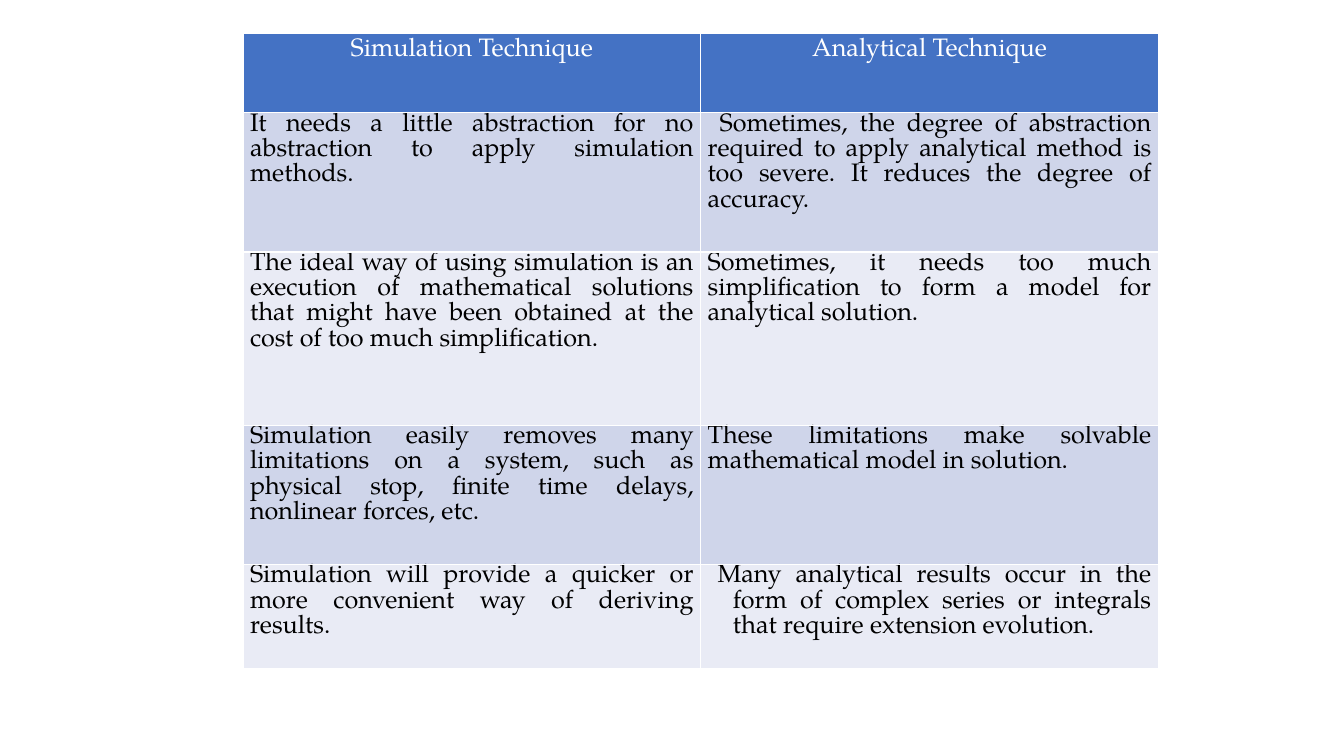
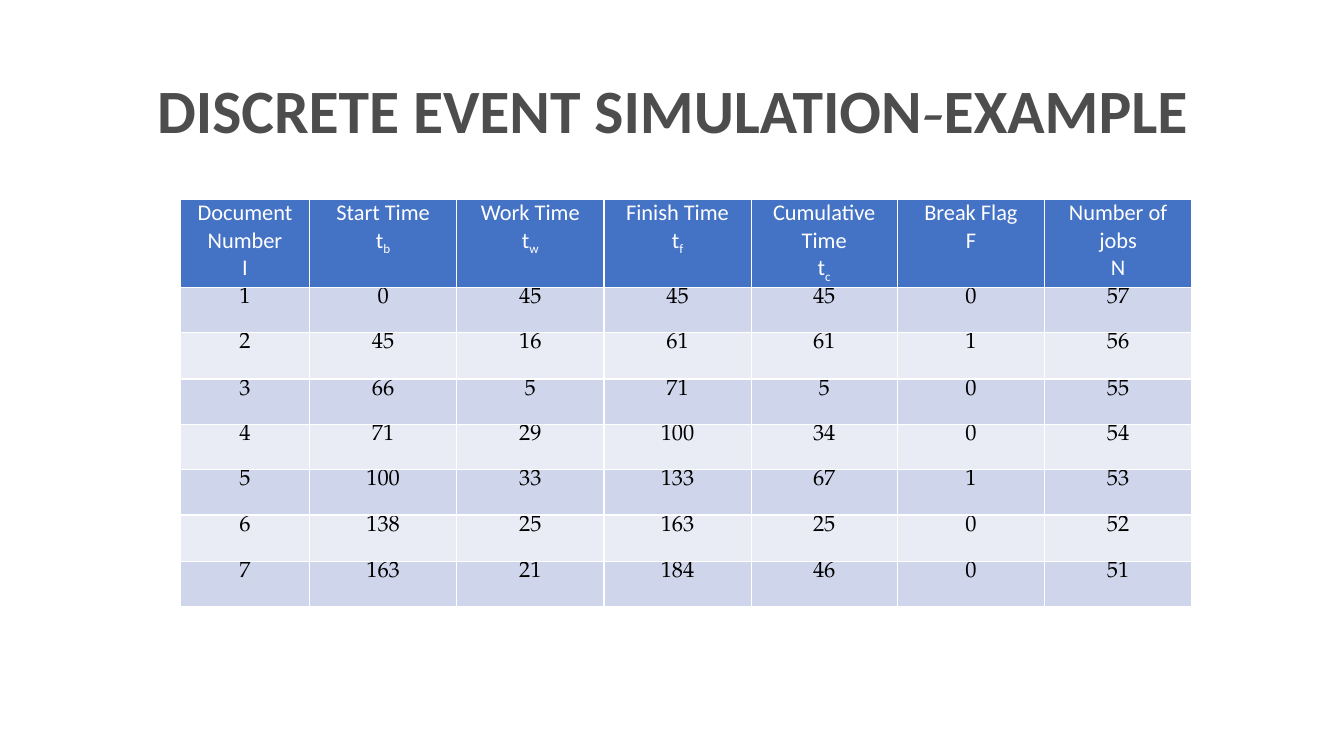
"""Build two table slides comparing simulation techniques and showing a discrete event example."""
from dataclasses import dataclass, replace
from typing import Optional

from pptx import Presentation
from pptx.dml.color import RGBColor as Rgb
from pptx.enum.text import MSO_ANCHOR as Anchor, PP_ALIGN as Align
from pptx.util import Pt

EMU_PER_PX = 9144
TITLE_ONLY_LAYOUT, BLANK_LAYOUT = 5, 6
SERIF, SANS, SPACER_FONT = "TeX Gyre Pagella", "Calibri", "Times New Roman"
COLORS = {
    "header": "4472C4",
    "odd_row": "CFD5EA",
    "even_row": "E9EBF5",
    "title": "4D4D4D",
    "header_text": "FFFFFF",
    "body_text": "000000",
}


@dataclass(frozen=True)
class TextStyle:
    """Formatting of a paragraph."""
    font: str
    size: int
    color: str
    align: Align = Align.CENTER
    bold: bool = False
    left: int = 0
    hanging: int = 0


@dataclass(frozen=True)
class Span:
    """A piece of text that may depart from its paragraph."""
    text: str
    font: Optional[str] = None
    size: Optional[int] = None
    bold: Optional[bool] = None
    subscript: bool = False


@dataclass(frozen=True)
class Line:
    """One paragraph, with an optional style of its own."""
    spans: tuple[Span, ...]
    style: Optional[TextStyle] = None


@dataclass(frozen=True)
class Box:
    """A rectangle in px."""
    left: int
    top: int
    width: int
    height: int


@dataclass(frozen=True)
class Grid:
    """A table's place, track sizes, styles and cell margins."""
    left: int
    top: int
    columns: list[int]
    rows: list[int]
    header: TextStyle
    body: TextStyle
    header_margins: tuple[int, int]
    body_margins: tuple[int, int] = (7, 0)


Cell = list[Line]

TITLE_STYLE = TextStyle(SANS, 44, "title", bold=True)
COMPARE_HEADER = TextStyle(SERIF, 18, "header_text")
COMPARE_BODY = TextStyle(SERIF, 18, "body_text", Align.JUSTIFY, hanging=25)
INDENTED_BODY = replace(COMPARE_BODY, left=25)
EVENT_HEADER = TextStyle(SANS, 16, "header_text")
EVENT_BODY = TextStyle(SERIF, 16, "body_text")

COMPARISON = [
    ("Simulation Technique", "Analytical Technique"),
    (
        "It needs a little abstraction for no abstraction to apply simulation methods.",
        " Sometimes, the degree of abstraction required to apply analytical method "
        "is too severe. It reduces the degree of accuracy.",
    ),
    (
        "The ideal way of using simulation is an execution of mathematical solutions "
        "that might have been obtained at the cost of too much simplification.",
        "Sometimes, it needs too much simplification to form a model for analytical solution.",
    ),
    (
        "Simulation easily removes many limitations on a system, such as physical stop, "
        "finite time delays, nonlinear forces, etc.",
        "These limitations make solvable mathematical model in solution.",
    ),
]
LAST_COMPARISON = (
    "Simulation will provide a quicker or more convenient way of deriving results."
)
LAST_ANALYTICAL = Line(
    (
        Span(" ", SPACER_FONT, 6),
        Span(
            "Many analytical results occur in the form of complex series or integrals "
            "that require extension evolution.",
            SERIF,
            18,
        ),
    ),
    INDENTED_BODY,
)

EVENT_COLUMNS = [
    ("Document Number", "I", ""),
    ("Start Time", "t", "b"),
    ("Work Time", "t", "w"),
    ("Finish Time", "t", "f"),
    ("Cumulative Time", "t", "c"),
    ("Break Flag", "F", ""),
    ("Number of jobs", "N", ""),
]
EVENTS = [
    (1, 0, 45, 45, 45, 0, 57),
    (2, 45, 16, 61, 61, 1, 56),
    (3, 66, 5, 71, 5, 0, 55),
    (4, 71, 29, 100, 34, 0, 54),
    (5, 100, 33, 133, 67, 1, 53),
    (6, 138, 25, 163, 25, 0, 52),
    (7, 163, 21, 184, 46, 0, 51),
]


def px(length: int) -> int:
    """Turn px into EMU."""
    return length * EMU_PER_PX


def even(total: int, count: int) -> list[int]:
    """Split a length into near-equal whole parts."""
    edges = [round(total * index / count) for index in range(count + 1)]
    return [end - start for start, end in zip(edges, edges[1:])]


def color(name: str) -> Rgb:
    """Look up a named colour."""
    return Rgb.from_string(COLORS[name])


def plain(text: object) -> Cell:
    """Make a cell of one uniform line."""
    return [Line((Span(str(text)),))]


def symbol_header(label: str, symbol: str, subscript: str) -> Cell:
    """Make a header cell with its symbol under the label."""
    spans = [Span(symbol)]
    if subscript:
        spans.append(Span(subscript, subscript=True))
    return [Line((Span(label),)), Line(tuple(spans))]


def write_line(para, line: Line, default: TextStyle) -> None:
    """Format a paragraph and write its spans."""
    style = line.style or default
    para.alignment = style.align
    para.font.color.rgb = color(style.color)
    if all(span.font is None for span in line.spans):
        para.font.name = style.font
    if all(span.size is None for span in line.spans):
        para.font.size = Pt(style.size)
    if all(span.bold is None for span in line.spans):
        para.font.bold = style.bold
    if style.hanging:
        properties = para._p.get_or_add_pPr()
        properties.set("marL", str(px(style.left)))
        properties.set("indent", str(-px(style.hanging)))
    for span in line.spans:
        run = para.add_run()
        run.text = span.text
        if span.font:
            run.font.name = span.font
        if span.size:
            run.font.size = Pt(span.size)
        if span.bold is not None:
            run.font.bold = span.bold
        if span.subscript:
            run._r.get_or_add_rPr().set("baseline", "-25000")


def write_lines(frame, lines: Cell, style: TextStyle) -> None:
    """Fill a text frame with lines."""
    for index, line in enumerate(lines):
        para = frame.add_paragraph() if index else frame.paragraphs[0]
        write_line(para, line, style)


def draw_table(page, grid: Grid, rows: list[list[Cell]]) -> None:
    """Draw a table with a header and banded rows."""
    table = page.shapes.add_table(
        len(grid.rows), len(grid.columns), px(grid.left), px(grid.top),
        px(sum(grid.columns)), px(sum(grid.rows)),
    ).table
    for column, width in zip(table.columns, grid.columns):
        column.width = px(width)
    for row_index, (row, height) in enumerate(zip(table.rows, grid.rows)):
        row.height = px(height)
        is_header = row_index == 0
        band = "header" if is_header else ("even_row", "odd_row")[row_index % 2]
        side, edge = grid.header_margins if is_header else grid.body_margins
        for cell, lines in zip(row.cells, rows[row_index]):
            cell.fill.solid()
            cell.fill.fore_color.rgb = color(band)
            cell.margin_left = cell.margin_right = px(side)
            cell.margin_top = cell.margin_bottom = px(edge)
            write_lines(cell.text_frame, lines, grid.header if is_header else grid.body)


def draw_title(page, box: Box, line: Line) -> None:
    """Place and fill the title placeholder."""
    title = page.shapes.title
    title.left, title.top = px(box.left), px(box.top)
    title.width, title.height = px(box.width), px(box.height)
    title.text_frame.vertical_anchor = Anchor.MIDDLE
    write_lines(title.text_frame, [line], TITLE_STYLE)
    title.text_frame.paragraphs[0].line_spacing = 0.9


def build_comparison(deck) -> None:
    """Build the comparison of techniques."""
    page = deck.slides.add_slide(deck.slide_layouts[BLANK_LAYOUT])
    grid = Grid(
        241, 33, even(908, 2), [79, 138, 172, 138, 103],
        COMPARE_HEADER, COMPARE_BODY, header_margins=(10, 5),
    )
    rows = [[plain(text) for text in texts] for texts in COMPARISON]
    rows.append([plain(LAST_COMPARISON), [LAST_ANALYTICAL]])
    draw_table(page, grid, rows)


def build_events(deck) -> None:
    """Build the discrete event example."""
    page = deck.slides.add_slide(deck.slide_layouts[TITLE_ONLY_LAYOUT])
    title = Line((
        Span("DISCRETE EVENT SIMULATION", SANS, bold=True),
        Span("-", SERIF, bold=False),
        Span("EXAMPLE", SANS, bold=True),
    ))
    draw_title(page, Box(92, 40, 1150, 145), title)
    grid = Grid(
        179, 198, [128, *even(875, 6)], [87, *even(317, 7)],
        EVENT_HEADER, EVENT_BODY, header_margins=(7, 0),
    )
    rows = [[symbol_header(*column) for column in EVENT_COLUMNS]]
    rows += [[plain(value) for value in event] for event in EVENTS]
    draw_table(page, grid, rows)


def main() -> None:
    """Build and save the deck."""
    deck = Presentation()
    deck.slide_width, deck.slide_height = px(1333), px(750)
    build_comparison(deck)
    build_events(deck)
    deck.save("out.pptx")


if __name__ == "__main__":
    main()
